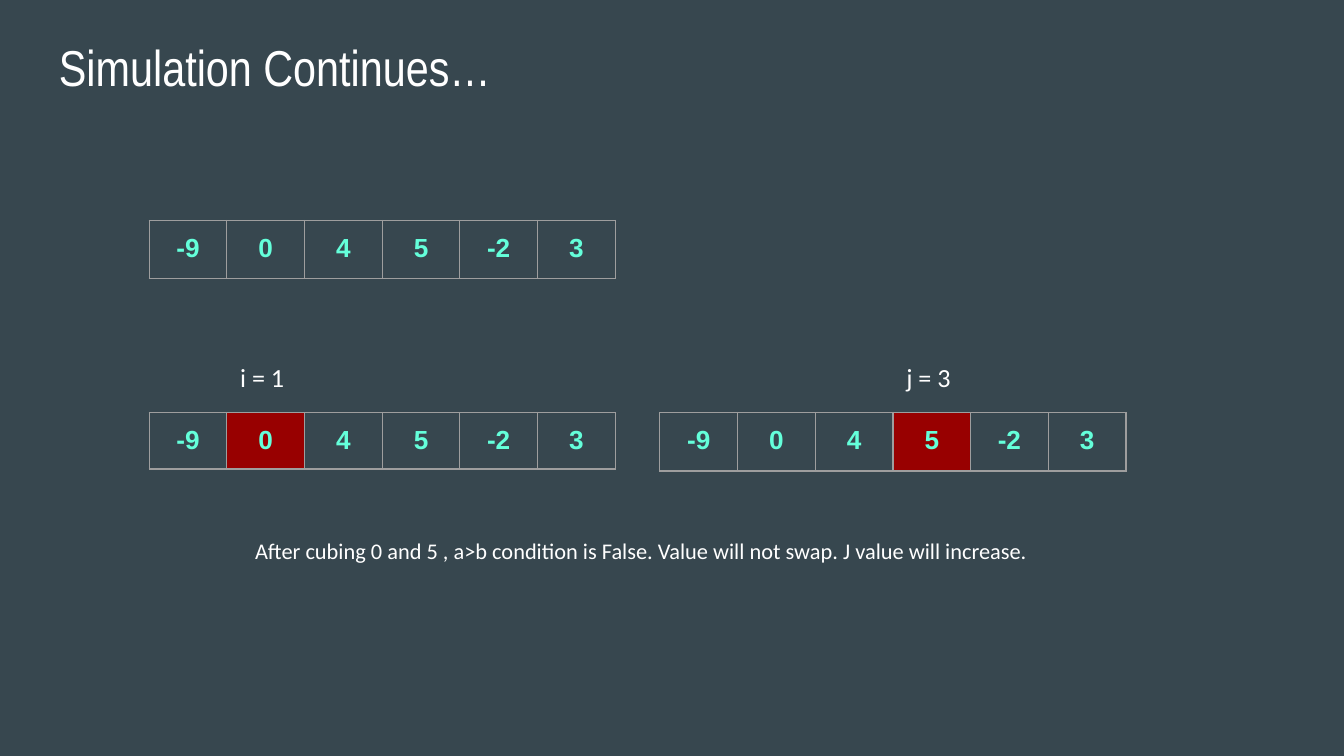
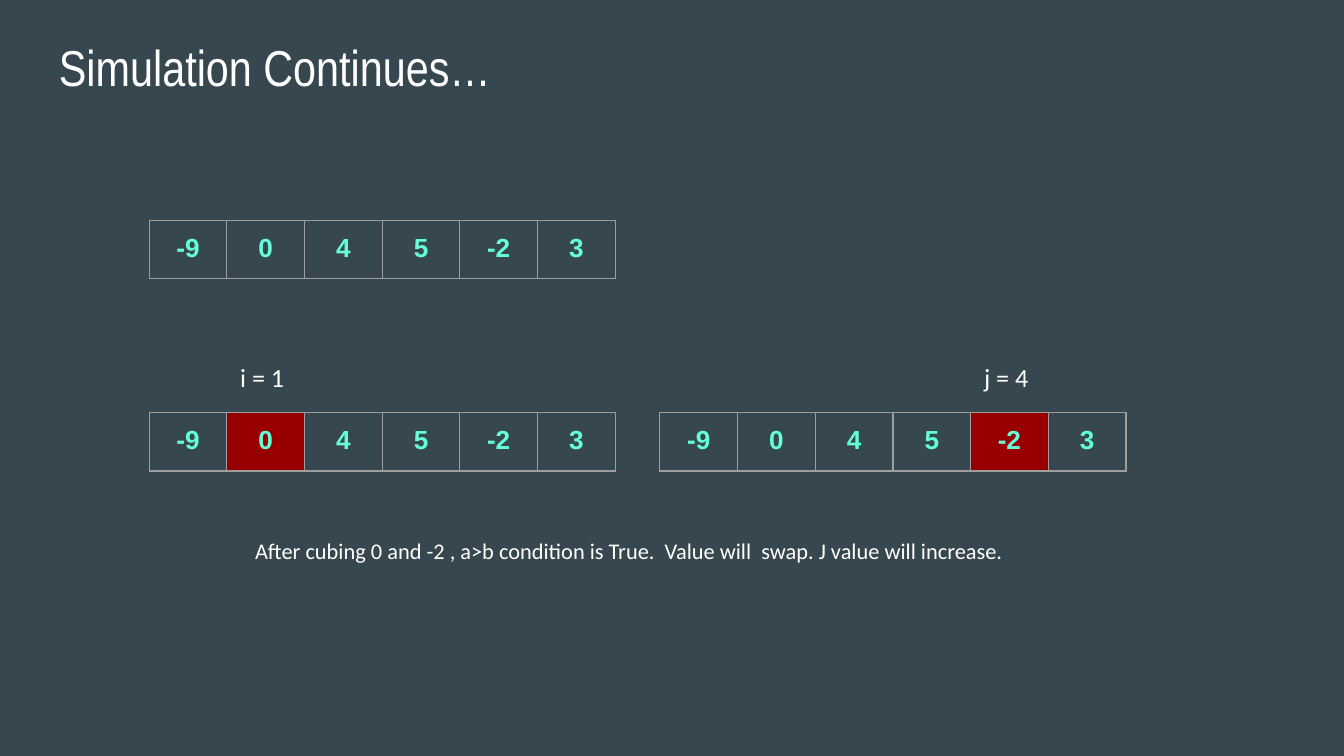
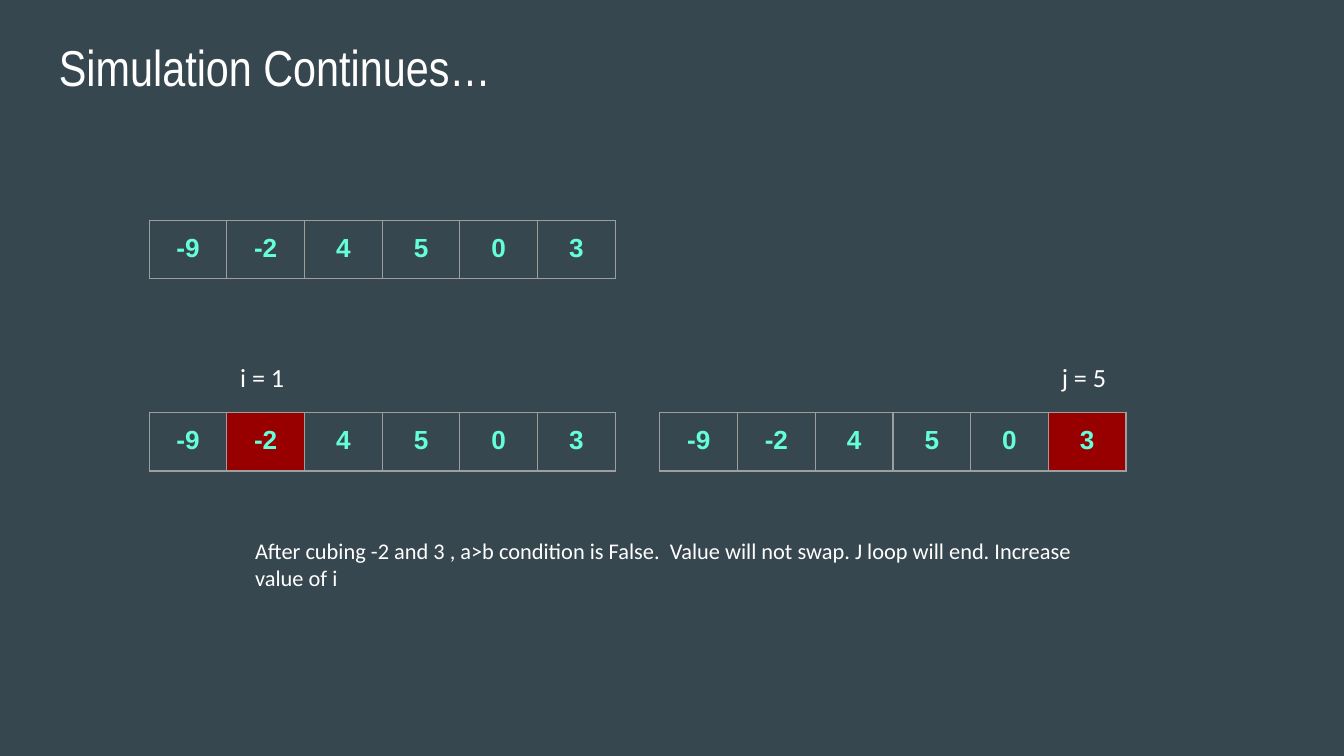
from lxml.etree import SubElement
from pptx import Presentation
from pptx.dml.color import RGBColor
from pptx.enum.text import MSO_AUTO_SIZE, PP_ALIGN
from pptx.oxml.ns import qn
from pptx.util import Inches, Pt

TITLE = "Simulation Continues…"
STEPS = [
    {"values": [-9, 0, 4, 5, -2, 3], "i": 1, "j": 3,
     "note": "After cubing 0 and 5 , a>b condition is False. Value will not swap. "
             "J value will increase."},
    {"values": [-9, 0, 4, 5, -2, 3], "i": 1, "j": 4,
     "note": "After cubing 0 and -2 , a>b condition is True.  Value will  swap. "
             "J value will increase."},
    {"values": [-9, -2, 4, 5, 0, 3], "i": 1, "j": 5,
     "note": "After cubing -2 and 3 , a>b condition is False.  Value will not swap. "
             "J loop will end. Increase value of i"},
]

COLORS = {"background": "37474F", "text": "FFFFFF", "value": "64FFDA",
          "current": "980000", "border": "9E9E9E"}
SLIDE_WIDTH = 10
MARGIN = Inches(0.1)
ARRAY_WIDTH, CELL_HEIGHT = 3.47, 0.42
ARRAY_TOP, POINTER_TOP = 1.64, 3.07
POINTER_LEFTS = {"i": 1.11, "j": 4.91}
LABEL_HEIGHT, LABEL_RISE = 0.44, 0.48


def color(name):
    return RGBColor.from_string(COLORS[name])


def set_margins(target):
    target.margin_left = target.margin_right = MARGIN
    target.margin_top = target.margin_bottom = MARGIN


def add_run(paragraph, text, size, font_name, color_name, bold=False):
    run = paragraph.add_run()
    run.text = text
    run.font.size = Pt(size)
    run.font.name = font_name
    run.font.bold = bold
    run.font.color.rgb = color(color_name)


def add_text(slide, box, text, size, font_name="Calibri", grow=True):
    frame = slide.shapes.add_textbox(*map(Inches, box)).text_frame
    frame.word_wrap = True
    frame.auto_size = MSO_AUTO_SIZE.SHAPE_TO_FIT_TEXT if grow else MSO_AUTO_SIZE.NONE
    set_margins(frame)
    add_run(frame.paragraphs[0], text, size, font_name, "text")


def add_borders(cell):
    properties = cell._tc.get_or_add_tcPr()
    for side in ("a:lnL", "a:lnR", "a:lnT", "a:lnB"):
        line = SubElement(properties, qn(side), w=str(Pt(0.75)))
        fill = SubElement(line, qn("a:solidFill"))
        SubElement(fill, qn("a:srgbClr"), val=COLORS["border"])


def add_array(slide, left, top, values, current=None):
    """Draw the values as one row of cells, with the current index marked."""
    table = slide.shapes.add_table(
        1, len(values), Inches(left), Inches(top),
        Inches(ARRAY_WIDTH), Inches(CELL_HEIGHT)).table
    table.first_row = table.horz_banding = False
    for index, value in enumerate(values):
        cell = table.cell(0, index)
        set_margins(cell)
        add_borders(cell)
        cell.fill.solid()
        cell.fill.fore_color.rgb = color("current" if index == current else "background")
        paragraph = cell.text_frame.paragraphs[0]
        paragraph.alignment = PP_ALIGN.CENTER
        add_run(paragraph, str(value), 14, "Arial", "value", bold=True)


def add_step(presentation, step):
    slide = presentation.slides.add_slide(presentation.slide_layouts[6])
    slide.background.fill.solid()
    slide.background.fill.fore_color.rgb = color("background")
    add_text(slide, (0.34, 0.17, 9.32, 0.63), TITLE, 27, "Arial Narrow", grow=False)
    cell_width = ARRAY_WIDTH / len(step["values"])
    for pointer, left in POINTER_LEFTS.items():
        index = step[pointer]
        add_array(slide, left, POINTER_TOP, step["values"], index)
        label_box = (left + index * cell_width, POINTER_TOP - LABEL_RISE,
                     cell_width, LABEL_HEIGHT)
        add_text(slide, label_box, f"{pointer} = {index}", 14)
    add_text(slide, (1.8, 3.9, 6.53, 0.4), step["note"], 12)
    add_array(slide, POINTER_LEFTS["i"], ARRAY_TOP, step["values"])


def main():
    presentation = Presentation()
    presentation.slide_width = Inches(SLIDE_WIDTH)
    presentation.slide_height = Inches(SLIDE_WIDTH * 9 / 16)
    for step in STEPS:
        add_step(presentation, step)
    presentation.save("out.pptx")


if __name__ == "__main__":
    main()
